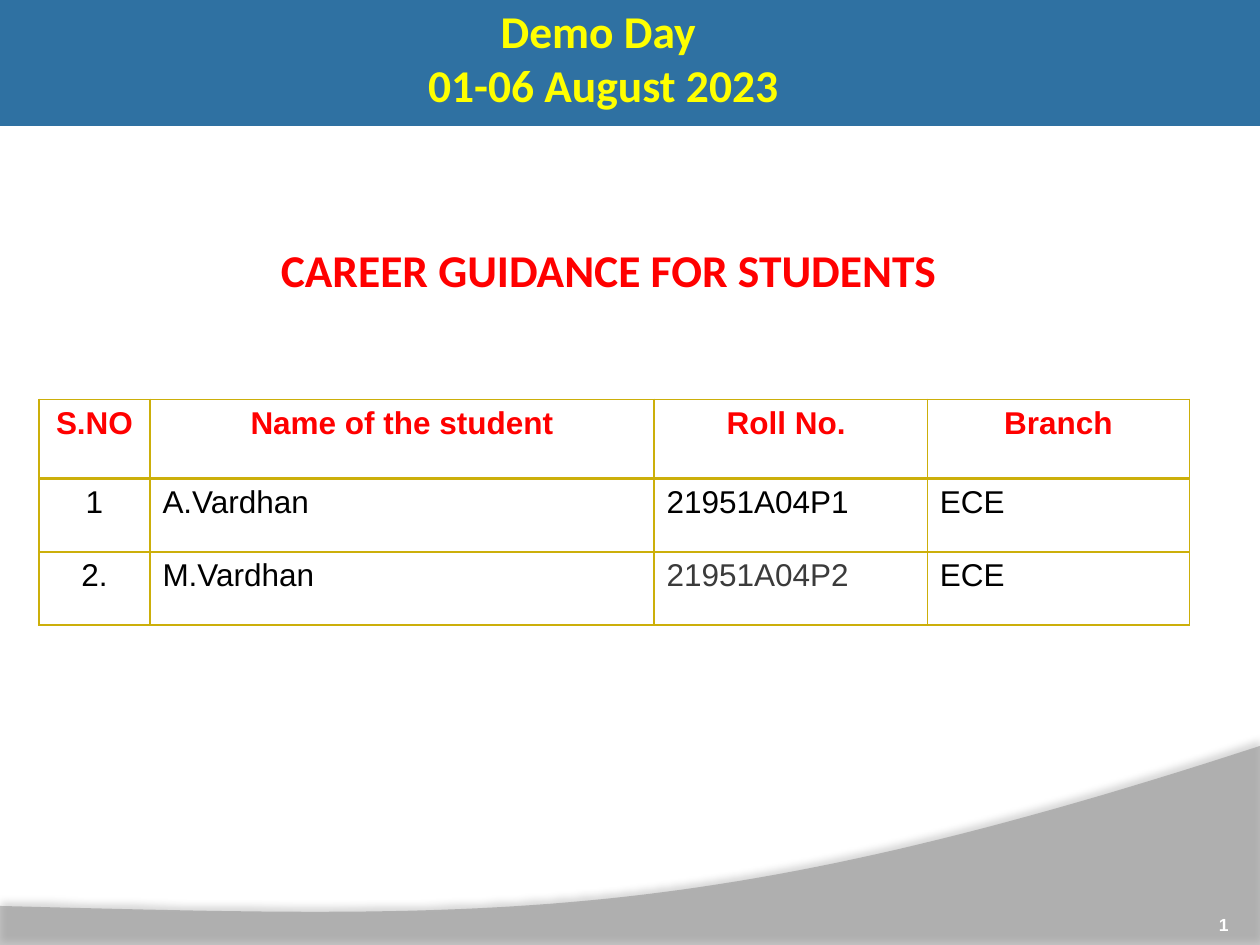
from dataclasses import dataclass

from lxml import etree
from pptx import Presentation
from pptx.dml.color import RGBColor
from pptx.enum.shapes import MSO_SHAPE
from pptx.enum.text import MSO_ANCHOR, MSO_AUTO_SIZE, PP_ALIGN
from pptx.oxml.ns import qn
from pptx.util import Inches, Pt

RECT = MSO_SHAPE.RECTANGLE
TOP, BOTTOM = MSO_ANCHOR.TOP, MSO_ANCHOR.BOTTOM
LEFT, CENTER, RIGHT = PP_ALIGN.LEFT, PP_ALIGN.CENTER, PP_ALIGN.RIGHT
NO_FIT = MSO_AUTO_SIZE.NONE
COLORS = {"band": "2F71A2", "wave": "7F7F7F", "yellow": "FFFF00", "red": "FF0000",
          "gold": "CCAF0A", "black": "000000", "gray": "3B3B3B", "white": "FFFFFF"}


@dataclass
class Style:
    size: float
    font: str
    color: str
    bold: bool = False
    align: int = LEFT


@dataclass
class Label:
    box: tuple
    lines: list
    style: Style
    anchor: int = TOP
    wrap: bool = True
    inset: tuple = (0.1, 0.05, 0.1, 0.05)


HEADING = Style(26, "Calibri", "yellow", True, CENTER)
TOPIC = Style(26, "Calibri", "red", True, CENTER)
NUMBER = Style(10, "Arial", "white", True, RIGHT)
HEADER = Style(18, "Arial", "red", True, CENTER)
INDEX = Style(18, "Arial", "black", align=CENTER)
BODY = Style(18, "Arial", "black")
MUTED = Style(18, "Arial", "gray")

TITLE = Label((0.25, -0.03, 9.08, 1.45), ["Demo Day ", "01-06 August 2023"], HEADING)
LABELS = [
    Label((2.11, 1.87, 5.53, 0.54), ["CAREER GUIDANCE FOR STUDENTS "], TOPIC, wrap=False),
    Label((8.92, 7.02, 0.83, 0.4), ["1"], NUMBER, BOTTOM, inset=(0, 0, 0, 0)),
]
COLUMNS = [0.88, 4, 2.17, 2.08]
ROW_HEIGHTS = [0.63, 0.58, 0.58]
ROWS = [
    (["S.NO", "Name of the student", "Roll No. ", "Branch"], [HEADER] * 4),
    (["1", "A.Vardhan", "21951A04P1", "ECE"], [INDEX, BODY, BODY, BODY]),
    (["2.", "M.Vardhan", "21951A04P2", "ECE"], [INDEX, BODY, MUTED, BODY]),
]
WAVE_CURVE = [(10, 5.92), (5.59, 7.36), (3.91, 7.29), (0, 7.19)]
WAVE_STEPS = 60


def rgb(name: str) -> RGBColor:
    return RGBColor.from_string(COLORS[name])


def paint(sp, color: str) -> None:
    sp.fill.solid()
    sp.fill.fore_color.rgb = rgb(color)
    sp.line.fill.background()
    sp.shadow.inherit = False


def write(tf, lines: list, style: Style) -> None:
    for i, line in enumerate(lines):
        p = tf.add_paragraph() if i else tf.paragraphs[0]
        p.alignment = style.align
        r = p.add_run()
        r.text = line
        values = {"size": Pt(style.size), "name": style.font, "bold": style.bold}
        for key, value in values.items():
            setattr(r.font, key, value)
        r.font.color.rgb = rgb(style.color)


def fill_label(sp, label: Label) -> None:
    sp.left, sp.top, sp.width, sp.height = map(Inches, label.box)
    tf = sp.text_frame
    sides = ("margin_left", "margin_top", "margin_right", "margin_bottom")
    values = dict(zip(sides, map(Inches, label.inset)))
    values |= {"word_wrap": label.wrap, "vertical_anchor": label.anchor, "auto_size": NO_FIT}
    for key, value in values.items():
        setattr(tf, key, value)
    write(tf, label.lines, label.style)


def curve_point(t: float) -> tuple:
    weights = ((1 - t) ** 3, 3 * t * (1 - t) ** 2, 3 * t ** 2 * (1 - t), t ** 3)
    return tuple(Inches(sum(w * pt[axis] for w, pt in zip(weights, WAVE_CURVE)))
                 for axis in (0, 1))


def add_color(parent, color: str, opacity: int) -> None:
    node = etree.SubElement(parent, qn("a:srgbClr"), val=COLORS[color])
    etree.SubElement(node, qn("a:alpha"), val=str(opacity * 1000))


def add_wave(s):
    builder = s.shapes.build_freeform(0, Inches(7.51))
    points = [(Inches(10), Inches(7.51))]
    points += [curve_point(i / WAVE_STEPS) for i in range(WAVE_STEPS + 1)]
    builder.add_line_segments(points, close=True)
    sp = builder.convert_to_shape()
    paint(sp, "wave")
    color = sp.element.spPr.find(qn("a:solidFill")).find(qn("a:srgbClr"))
    etree.SubElement(color, qn("a:alpha"), val="45000")
    effects = sp.element.spPr.find(qn("a:effectLst"))
    shadow = etree.SubElement(effects, qn("a:outerShdw"), blurRad=str(Pt(4)),
                              dist=str(Pt(3.5)), dir="16200000", rotWithShape="0")
    add_color(shadow, "black", 35)
    return sp


def add_border(cell, side: str, width: float) -> None:
    ln = etree.SubElement(cell._tc.get_or_add_tcPr(), qn(f"a:ln{side}"), w=str(Pt(width)))
    add_color(etree.SubElement(ln, qn("a:solidFill")), "gold", 100)


def add_student_table(s) -> None:
    frame = s.shapes.add_table(len(ROWS), len(COLUMNS), Inches(0.31), Inches(3.17),
                               Inches(sum(COLUMNS)), Inches(sum(ROW_HEIGHTS)))
    table = frame.table
    table.first_row = table.horz_banding = False
    for column, width in zip(table.columns, COLUMNS):
        column.width = Inches(width)
    for i, (texts, styles) in enumerate(ROWS):
        table.rows[i].height = Inches(ROW_HEIGHTS[i])
        widths = {"L": 1, "R": 1, "T": 2 if i == 1 else 1, "B": 2 if i == 0 else 1}
        for j, (text, style) in enumerate(zip(texts, styles)):
            cell = table.cell(i, j)
            for side, width in widths.items():
                add_border(cell, side, width)
            if i:
                cell.fill.solid()
                cell.fill.fore_color.rgb = rgb("white")
            else:
                cell.fill.background()
            write(cell.text_frame, [text], style)


def main() -> None:
    prs = Presentation()
    prs.slide_width, prs.slide_height = Inches(10), Inches(7.5)
    s = prs.slides.add_slide(prs.slide_layouts[5])
    title = s.shapes.title
    fill_label(title, TITLE)
    wave = add_wave(s)
    band = s.shapes.add_shape(RECT, 0, 0, Inches(10), Inches(1))
    paint(band, "band")
    for sp in (wave, band):
        title.element.addprevious(sp.element)
    for label in LABELS:
        fill_label(s.shapes.add_textbox(0, 0, 0, 0), label)
    add_student_table(s)
    prs.save("out.pptx")


if __name__ == "__main__":
    main()
